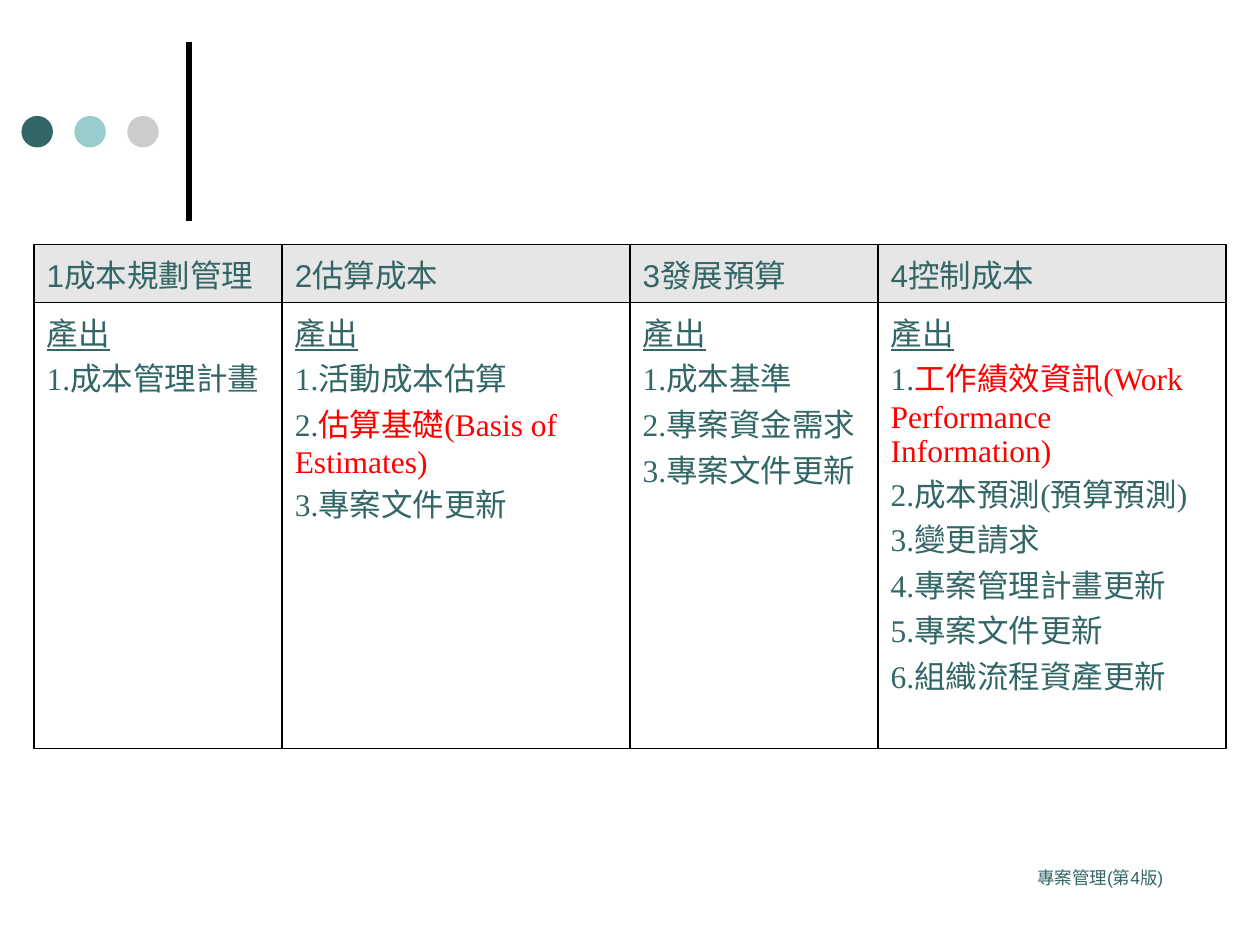
from dataclasses import dataclass
from itertools import groupby

from lxml import etree
from pptx import Presentation
from pptx.dml.color import RGBColor
from pptx.enum import shapes, text
from pptx.oxml import ns
from pptx.util import Inches, Pt


@dataclass(frozen=True)
class Theme:
    dark: str = "336666"
    mid: str = "99CCCC"
    pale: str = "CCCCCC"
    header: str = "E6E6E6"
    accent: str = "FF0000"
    rule: str = "000000"
    sans: str = "Arial"
    serif: str = "Times New Roman"
    body: int = 18
    small: int = 10


T = Theme()

COLUMNS = [
    ("1成本規劃管理", 1.97, ["成本管理計畫"]),
    ("2估算成本", 2.76, ["活動成本估算", "估算基礎(Basis of Estimates)", "專案文件更新"]),
    ("3發展預算", 1.97, ["成本基準", "專案資金需求", "專案文件更新"]),
    ("4控制成本", 2.76, [
        "工作績效資訊(Work Performance Information)", "成本預測(預算預測)", "變更請求",
        "專案管理計畫更新", "專案文件更新", "組織流程資產更新"]),
]
HIGHLIGHTS = {"估算基礎(Basis of Estimates)", "工作績效資訊(Work Performance Information)"}


def add_run(p, words, color=T.dark, **style):
    r = p.add_run()
    r.text = words
    r._r.get_or_add_rPr().set("lang", "zh-TW")
    for name, value in {"name": T.sans, "size": Pt(T.body), **style}.items():
        setattr(r.font, name, value)
    r.font.color.rgb = RGBColor.from_string(color)


def add_mixed(p, words, color=T.dark):
    for latin, chars in groupby(words, str.isascii):
        add_run(p, "".join(chars), color, name=T.serif if latin else T.sans)


def add_tab(p):
    tabs = etree.SubElement(p._p.get_or_add_pPr(), ns.qn("a:tabLst"))
    etree.SubElement(tabs, ns.qn("a:tab"), pos=str(Inches(0.2)), algn="l")


def add_borders(cell):
    tc_pr = cell._tc.get_or_add_tcPr()
    for side in ("lnL", "lnR", "lnT", "lnB"):
        ln = etree.SubElement(tc_pr, ns.qn(f"a:{side}"), w=str(Pt(1)))
        fill = etree.SubElement(ln, ns.qn("a:solidFill"))
        etree.SubElement(fill, ns.qn("a:srgbClr"), val=T.rule)


def add_ornament(s, left, top, height):
    x = Inches(left + 1.33)
    line = s.shapes.add_connector(
        shapes.MSO_CONNECTOR.STRAIGHT, x, Inches(top + height), x, Inches(top))
    line.line.width = Pt(3)
    line.line.color.rgb = RGBColor.from_string(T.rule)
    etree.SubElement(line._element.spPr, ns.qn("a:effectLst"))
    for i, color in enumerate((T.dark, T.mid, T.pale)):
        dot = s.shapes.add_shape(
            shapes.MSO_SHAPE.OVAL, Inches(left + 0.42 * i), Inches(top + 0.59),
            Inches(0.25), Inches(0.25))
        dot.shadow.inherit = False
        dot.fill.solid()
        dot.fill.fore_color.rgb = RGBColor.from_string(color)
        dot.line.fill.background()


def fill_header(cell, title):
    add_borders(cell)
    cell.fill.solid()
    cell.fill.fore_color.rgb = RGBColor.from_string(T.header)
    p = cell.text_frame.paragraphs[0]
    p.alignment = text.PP_ALIGN.JUSTIFY
    add_tab(p)
    add_run(p, title)


def fill_outputs(cell, items):
    add_borders(cell)
    cell.fill.background()
    tf = cell.text_frame
    p = tf.paragraphs[0]
    add_tab(p)
    add_run(p, "產出", underline=True)
    for number, item in enumerate(items, 1):
        p = tf.add_paragraph()
        add_tab(p)
        add_run(p, f"{number}.", name=T.serif)
        add_mixed(p, item, T.accent if item in HIGHLIGHTS else T.dark)


def add_output_table(s, left, top, width, heights):
    table = s.shapes.add_table(
        2, len(COLUMNS), Inches(left), Inches(top), Inches(width), Inches(sum(heights))).table
    table.first_row = table.horz_banding = False
    for row, height in zip(table.rows, heights):
        row.height = Inches(height)
    for i, (title, col_width, items) in enumerate(COLUMNS):
        table.columns[i].width = Inches(col_width)
        fill_header(table.cell(0, i), title)
        fill_outputs(table.cell(1, i), items)


def add_footer(s, left, top, width, height):
    tf = s.shapes.add_textbox(
        Inches(left), Inches(top), Inches(width), Inches(height)).text_frame
    tf.word_wrap = True
    p = tf.paragraphs[0]
    p.alignment = text.PP_ALIGN.RIGHT
    add_run(p, "專案管理(第4版)", size=Pt(T.small))


def main():
    prs = Presentation()
    prs.slide_width, prs.slide_height = Inches(10), Inches(7.5)
    s = prs.slides.add_slide(prs.slide_layouts[6])
    add_ornament(s, 0.17, 0.33, 1.42)
    add_footer(s, 7.25, 6.83, 2.08, 0.5)
    add_output_table(s, 0.27, 1.94, 9.46, (0.46, 3.54))
    prs.save("out.pptx")


if __name__ == "__main__":
    main()
